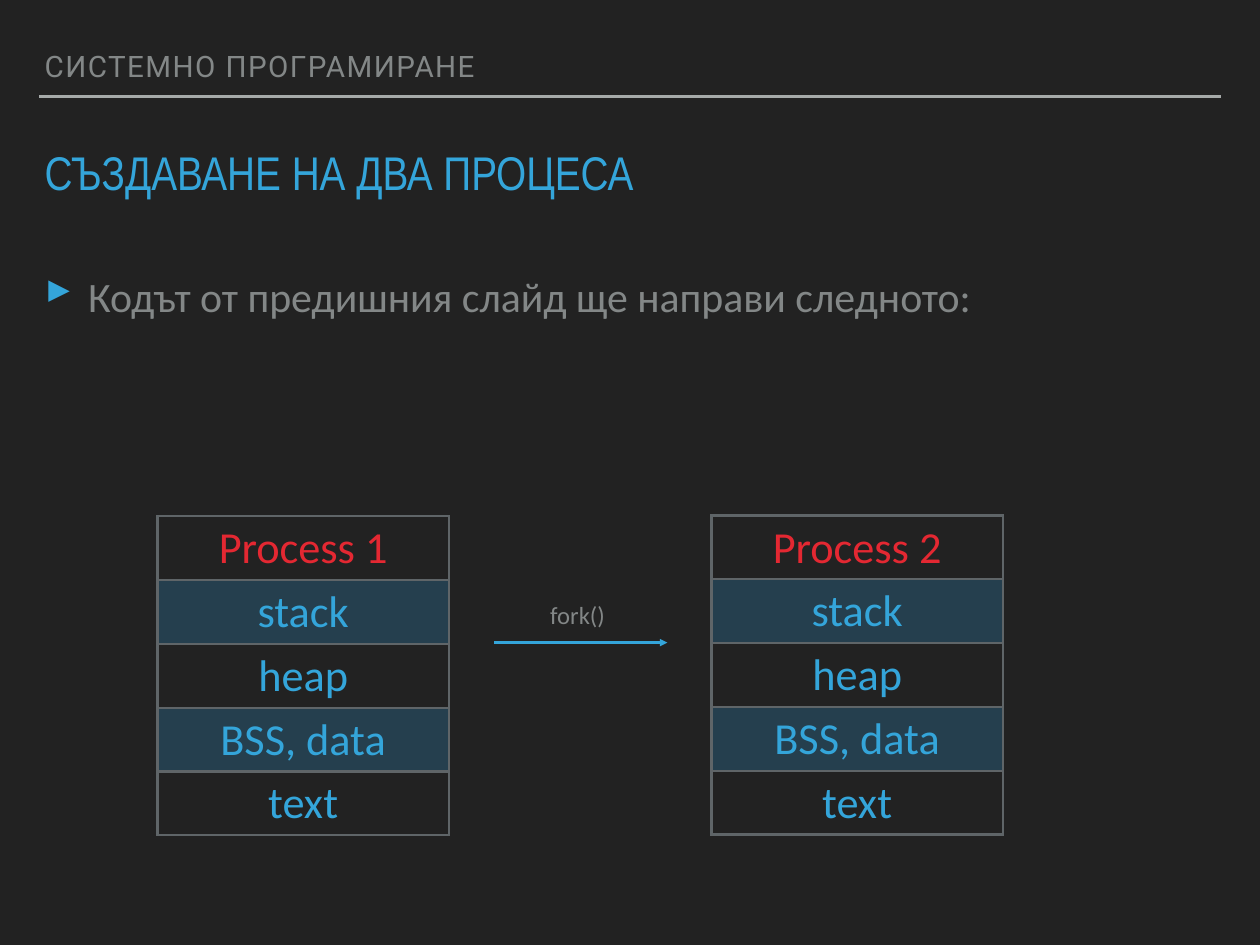
import pptx
import pptx.util
import pptx.dml.color
import pptx.enum.shapes
import pptx.enum.text
import pptx.oxml.ns
import lxml.etree

Pt = pptx.util.Pt
RGBColor = pptx.dml.color.RGBColor
PP_ALIGN = pptx.enum.text.PP_ALIGN
MSO_ANCHOR = pptx.enum.text.MSO_ANCHOR
qn = pptx.oxml.ns.qn

BACKGROUND = RGBColor(0x22, 0x22, 0x22)
GRAY = RGBColor(0x83, 0x87, 0x87)
RULE = RGBColor(0xA6, 0xAA, 0xA9)
BLUE = RGBColor(0x34, 0xA5, 0xDA)
RED = RGBColor(0xE4, 0x28, 0x32)
BAND = RGBColor(0x2E, 0x87, 0xBB)
BORDER = RGBColor(0x5F, 0x65, 0x68)

prs = pptx.Presentation()
prs.slide_width = pptx.util.Inches(14.22)
prs.slide_height = pptx.util.Inches(10.67)
UNIT = prs.slide_width / 32  # square grid: 32 columns by 24 rows
INSET = pptx.util.Inches(0.06)


def grid(*steps):
    """Turn grid steps into lengths."""
    return [round(step * UNIT) for step in steps]


def add_text(tf, text, size, color, font="Calibri", align=PP_ALIGN.LEFT,
             line_spacing=None, tracking=None):
    """Write one formatted paragraph and return it."""
    p = tf.paragraphs[0]
    p.alignment = align
    p.line_spacing = line_spacing
    r = p.add_run()
    r.text = text
    r.font.size = Pt(size)
    r.font.name = font
    r.font.color.rgb = color
    if tracking:
        r.font._element.set("spc", str(tracking))
    return p


s = prs.slides.add_slide(prs.slide_layouts[6])
s.background.fill.solid()
s.background.fill.fore_color.rgb = BACKGROUND

# Header rule and fork arrow
for left, right, y, color, arrow in [(1, 31, 2.45, RULE, False),
                                     (12.55, 16.95, 16.33, BLUE, True)]:
    line = s.shapes.add_connector(pptx.enum.shapes.MSO_CONNECTOR.STRAIGHT,
                                  *grid(left, y, right, y))
    line.line.color.rgb = color
    line.line.width = Pt(2)
    if arrow:
        lxml.etree.SubElement(line.line._get_or_add_ln(), qn("a:tailEnd"), type="triangle")
    lxml.etree.SubElement(line._element.spPr, qn("a:effectLst"))

# Text boxes
texts = [
    ((1, 1.12, 27.5, 1.12), MSO_ANCHOR.BOTTOM, "СИСТЕМНО ПРОГРАМИРАНЕ",
     dict(size=24, color=GRAY, font="Roboto", line_spacing=0.8, tracking=120)),
    ((1, 3.78, 30, 1.78), MSO_ANCHOR.TOP, "СЪЗДАВАНЕ НА ДВА ПРОЦЕСА",
     dict(size=38.4, color=BLUE, font="Arial Narrow", line_spacing=0.8)),
    ((13.84, 15.08, 1.8, 1.1), MSO_ANCHOR.MIDDLE, "fork()",
     dict(size=20, color=GRAY)),
    ((1, 6.75, 30, 15), MSO_ANCHOR.TOP, "Кодът от предишния слайд ще направи следното:",
     dict(size=34, color=GRAY)),
]
for box, anchor, text, style in texts:
    tf = s.shapes.add_textbox(*grid(*box)).text_frame
    tf.word_wrap = True
    tf.vertical_anchor = anchor
    tf.margin_left = tf.margin_right = tf.margin_top = tf.margin_bottom = INSET
    p = add_text(tf, text, **style)

# Bullet of the last text, the body
pPr = p._p.get_or_add_pPr()
indent = pptx.util.Inches(0.49)
pPr.set("marL", str(indent))
pPr.set("indent", str(-indent))
bullet_color = lxml.etree.SubElement(pPr, qn("a:buClr"))
lxml.etree.SubElement(bullet_color, qn("a:srgbClr"), val=str(BLUE))
lxml.etree.SubElement(pPr, qn("a:buSzPct"), val="105000")
lxml.etree.SubElement(pPr, qn("a:buChar"), char="▸")

# Memory layout of each process
SEGMENTS = ["stack", "heap", "BSS, data", "text"]
ROW = 1.62
for name, left, top in [("Process 1", 4, 13.12), ("Process 2", 18.07, 13.1)]:
    labels = [name] + SEGMENTS
    table = s.shapes.add_table(len(labels), 1,
                               *grid(left, top, 7.4, ROW * len(labels))).table
    table.first_row = table.horz_banding = False
    for i, label in enumerate(labels):
        cell = table.cell(i, 0)
        cell.vertical_anchor = MSO_ANCHOR.MIDDLE
        cell.margin_left = cell.margin_right = INSET
        cell.margin_top = cell.margin_bottom = INSET
        add_text(cell.text_frame, label, size=36, color=BLUE if i else RED,
                 align=PP_ALIGN.CENTER)
        tcPr = cell._tc.get_or_add_tcPr()
        if i % 2:
            cell.fill.solid()
            cell.fill.fore_color.rgb = BAND
            lxml.etree.SubElement(tcPr.find(".//" + qn("a:srgbClr")),
                                  qn("a:alpha"), val="29000")
        else:
            cell.fill.background()
        for k, side in enumerate(["lnL", "lnR", "lnT", "lnB"]):
            ln = lxml.etree.Element(qn("a:" + side), w=str(Pt(2)))
            fill = lxml.etree.SubElement(ln, qn("a:solidFill"))
            lxml.etree.SubElement(fill, qn("a:srgbClr"), val=str(BORDER))
            tcPr.insert(k, ln)

prs.save("out.pptx")
